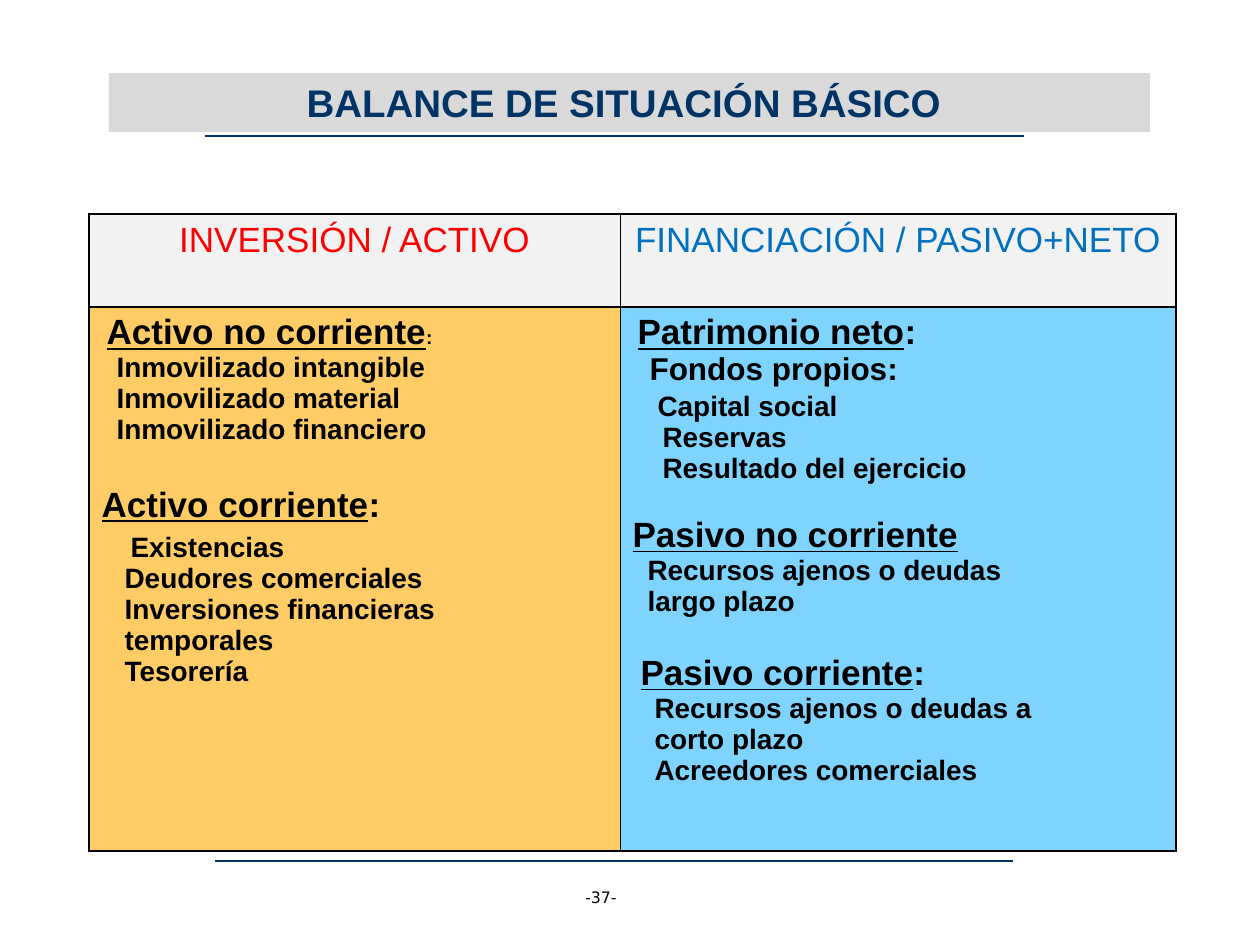
from lxml.etree import SubElement
from pptx import Presentation
from pptx.dml.color import RGBColor
from pptx.enum.shapes import MSO_CONNECTOR as Connector
from pptx.enum.text import MSO_ANCHOR as Anchor, MSO_AUTO_SIZE as AutoSize, PP_ALIGN as Align
from pptx.oxml.ns import qn
from pptx.util import Emu, Pt

SCALE = 914400 / 126
COLORS = {
    "navy": "003366", "black": "000000", "title_band": "D9D9D9", "header": "F2F2F2",
    "red": "FF0000", "blue": "0070C0", "assets": "FFCC66", "liabilities": "7FD3FF",
}
HEADING = {"size": Pt(20), "bold": True, "underline": True}
COLON = {"size": Pt(20), "bold": True}
SMALL_COLON = {"size": Pt(11), "bold": True}
SUBHEADING = {"size": Pt(18), "bold": True}
ITEM = {"size": Pt(16), "bold": True}
COLUMN_TITLE = {"size": Pt(20), "bold": False}

ASSETS = [
    (5, 0, [("Activo no corriente", HEADING), (":", SMALL_COLON)]),
    (15, 0, [("Inmovilizado intangible", ITEM)]),
    (15, 0, [("Inmovilizado material", ITEM)]),
    (15, 0, [("Inmovilizado financiero", ITEM)]),
    (0, 23, [("Activo corriente", HEADING), (":", COLON)]),
    (29, 4, [("Existencias", ITEM)]),
    (23, 0, [("Deudores comerciales", ITEM)]),
    (23, 0, [("Inversiones financieras", ITEM)]),
    (23, 0, [("temporales", ITEM)]),
    (23, 0, [("Tesorería", ITEM)]),
]
LIABILITIES = [
    (5, 0, [("Patrimonio neto", HEADING), (":", COLON)]),
    (17, 0, [("Fondos propios:", SUBHEADING)]),
    (25, 2, [("Capital social", ITEM)]),
    (30, 0, [("Reservas", ITEM)]),
    (30, 0, [("Resultado del ejercicio", ITEM)]),
    (0, 18, [("Pasivo no corriente", HEADING)]),
    (15, 0, [("Recursos ajenos o deudas", ITEM)]),
    (15, 0, [("largo plazo", ITEM)]),
    (8, 21, [("Pasivo corriente", HEADING), (":", COLON)]),
    (22, 0, [("Recursos ajenos o deudas a", ITEM)]),
    (22, 0, [("corto plazo", ITEM)]),
    (22, 0, [("Acreedores comerciales", ITEM)]),
]


def px(value):
    return Emu(round(value * SCALE))


def rgb(name):
    return RGBColor.from_string(COLORS[name])


def set_values(target, values):
    for name, value in values.items():
        setattr(target, name, value)


def fill_solid(target, color):
    target.fill.solid()
    target.fill.fore_color.rgb = rgb(color)


def add_run(paragraph, text, values, color="black", font="Arial"):
    run = paragraph.add_run()
    run.text = text
    set_values(run.font, {"name": font, **values})
    run.font.color.rgb = rgb(color)


def add_title(slide, text):
    title = slide.shapes.title
    set_values(title, {"left": px(109), "top": px(73), "width": px(1041), "height": px(59)})
    fill_solid(title, "title_band")
    set_values(title.text_frame, {
        "word_wrap": True, "auto_size": AutoSize.NONE, "vertical_anchor": Anchor.MIDDLE,
        "margin_right": px(24),
    })
    paragraph = title.text_frame.paragraphs[0]
    paragraph.alignment = Align.CENTER
    add_run(paragraph, text, {"size": Pt(22), "bold": True}, "navy")


def add_rule(slide, left, right, y):
    rule = slide.shapes.add_connector(Connector.STRAIGHT, px(left), px(y), px(right), px(y))
    rule.line.color.rgb = rgb("navy")
    rule.line.width = Pt(1.5)
    SubElement(rule._element.spPr, qn("a:effectLst"))


def add_page_number(slide, text):
    box = slide.shapes.add_textbox(px(538), px(882), px(126), px(34))
    box.text_frame.word_wrap = True
    paragraph = box.text_frame.paragraphs[0]
    paragraph.alignment = Align.CENTER
    add_run(paragraph, text, {"size": Pt(9)}, font="DejaVu Sans")


def set_borders(cell, widths):
    properties = cell._tc.get_or_add_tcPr()
    for side, width in zip("LRTB", widths):
        line = SubElement(properties, qn(f"a:ln{side}"), w=str(Pt(width)))
        solid = SubElement(line, qn("a:solidFill"))
        SubElement(solid, qn("a:srgbClr"), val=COLORS["black"])


def write_header(cell, text, color):
    paragraph = cell.text_frame.paragraphs[0]
    paragraph.alignment = Align.CENTER
    add_run(paragraph, text, COLUMN_TITLE, color)


def write_entries(cell, entries):
    frame = cell.text_frame
    for index, (indent, space, runs) in enumerate(entries):
        paragraph = frame.add_paragraph() if index else frame.paragraphs[0]
        paragraph._p.get_or_add_pPr().set("marL", str(px(indent)))
        if space:
            paragraph.space_before = Pt(space)
        for text, values in runs:
            add_run(paragraph, text, values)


def add_balance_table(slide):
    table = slide.shapes.add_table(2, 2, px(89), px(214), px(1087), px(637)).table
    set_values(table, {"first_row": False, "horz_banding": False})
    for column, width in zip(table.columns, (531, 556)):
        column.width = px(width)
    for row, height in zip(table.rows, (93, 544)):
        row.height = px(height)
    outer, middle, divider = 0.96, 0.45, 1.47
    fills = (("header", "header"), ("assets", "liabilities"))
    for row_index, row_fills in enumerate(fills):
        for column_index, color in enumerate(row_fills):
            cell = table.cell(row_index, column_index)
            sides = (outer, middle) if column_index == 0 else (middle, outer)
            edges = (outer, divider) if row_index == 0 else (divider, outer)
            set_borders(cell, sides + edges)
            fill_solid(cell, color)
    write_header(table.cell(0, 0), "INVERSIÓN / ACTIVO", "red")
    write_header(table.cell(0, 1), "FINANCIACIÓN / PASIVO+NETO", "blue")
    write_entries(table.cell(1, 0), ASSETS)
    write_entries(table.cell(1, 1), LIABILITIES)


def main():
    presentation = Presentation()
    set_values(presentation, {"slide_width": px(1260), "slide_height": px(945)})
    slide = presentation.slides.add_slide(presentation.slide_layouts[5])
    add_page_number(slide, "-37-")
    add_rule(slide, 205, 1024, 136)
    add_rule(slide, 215, 1013, 861)
    add_title(slide, "BALANCE DE SITUACIÓN BÁSICO")
    add_balance_table(slide)
    presentation.save("out.pptx")


if __name__ == "__main__":
    main()
